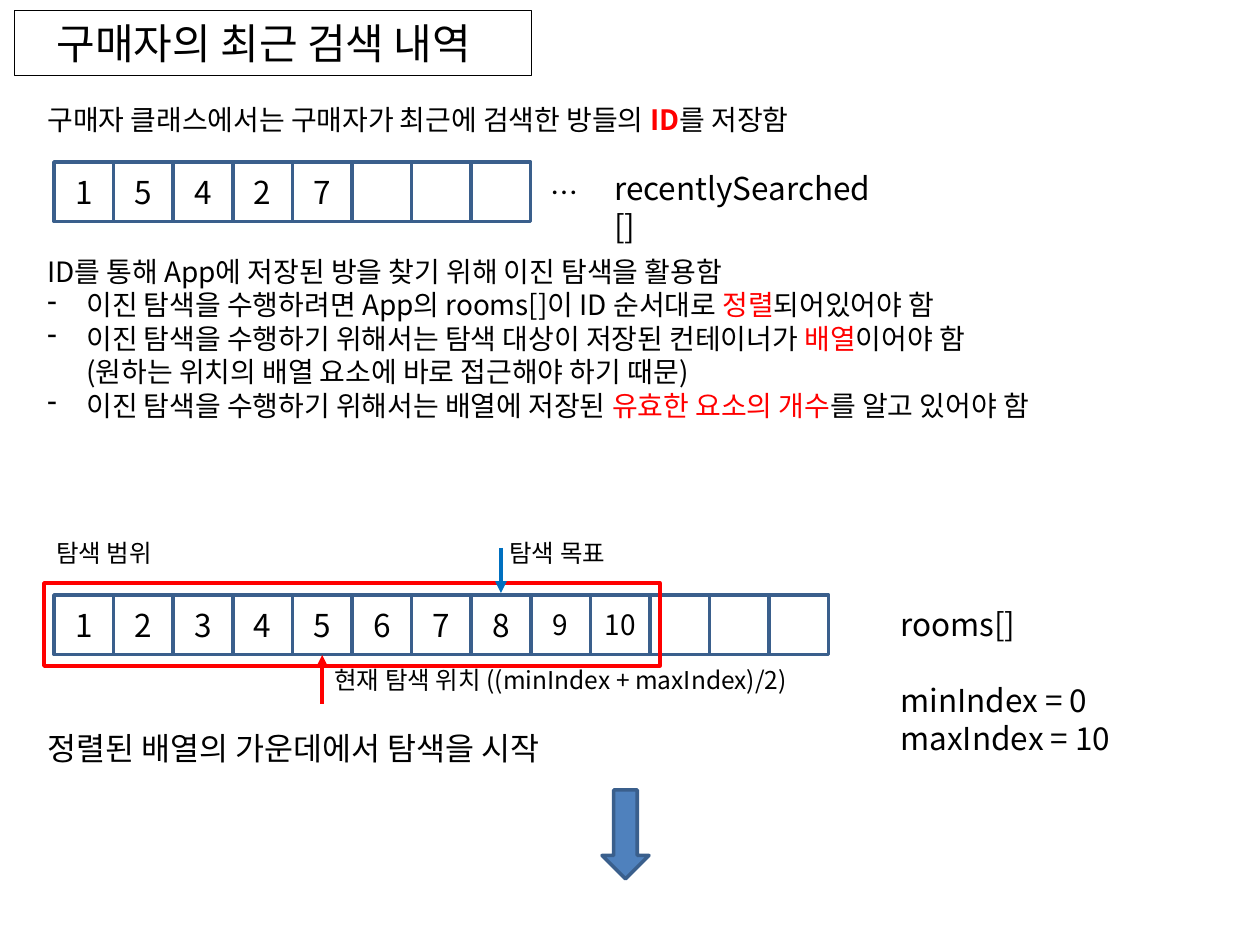
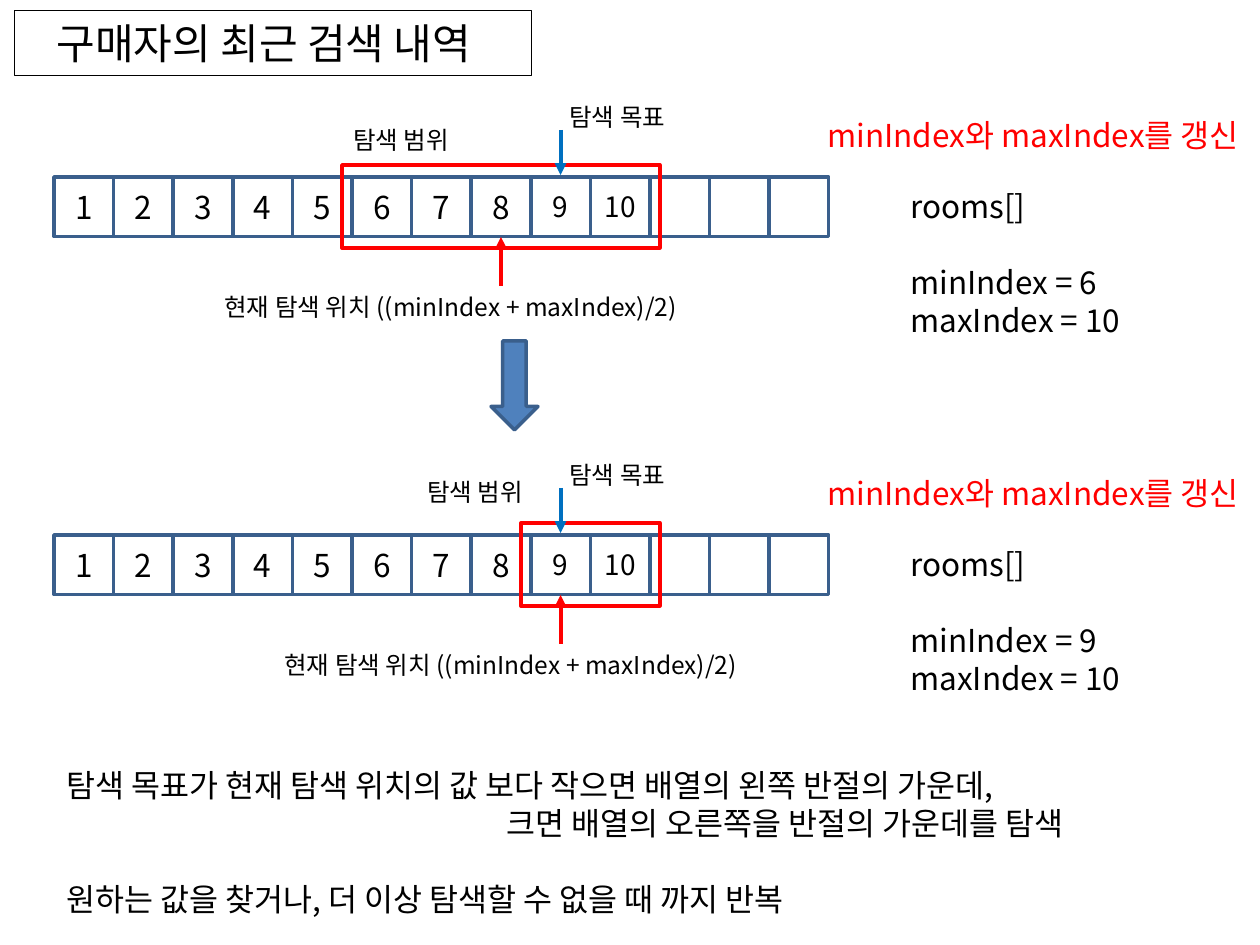
from lxml import etree
from pptx import Presentation
from pptx.dml.color import RGBColor
from pptx.enum.shapes import MSO_CONNECTOR, MSO_SHAPE
from pptx.enum.text import MSO_ANCHOR, PP_ALIGN
from pptx.oxml.ns import qn
from pptx.util import Pt

RECT, DOWN = MSO_SHAPE.RECTANGLE, MSO_SHAPE.DOWN_ARROW
LINE = MSO_CONNECTOR.STRAIGHT
LEFT, MID = PP_ALIGN.LEFT, PP_ALIGN.CENTER
TOP, HALF = MSO_ANCHOR.TOP, MSO_ANCHOR.MIDDLE

BLACK = RGBColor(0x00, 0x00, 0x00)
RED = RGBColor(0xFF, 0x00, 0x00)
BLUE = RGBColor(0x4F, 0x81, 0xBD)
NAVY = RGBColor(0x3A, 0x5F, 0x8C)
AZURE = RGBColor(0x00, 0x70, 0xC0)
FONT = "Noto Sans CJK KR"

SCALE = 914400 / 126
CELL = 59.6
EDGE = 54
GAP = Pt(21.6)


def px(n):
    """Turn pixels into EMU."""
    return round(n * SCALE)


def fill(frame, text, size=18, color=BLACK, align=LEFT, anchor=TOP):
    """Write text into a frame: a string, or a list of paragraphs.

    A paragraph is a string or a list of runs; a run is a string or a
    (string, colour, bold) triple.
    """
    frame.word_wrap = True
    frame.vertical_anchor = anchor
    rows = [text] if isinstance(text, str) else text
    for i, row in enumerate(rows):
        para = frame.paragraphs[0] if i == 0 else frame.add_paragraph()
        para.alignment = align
        for part in [row] if isinstance(row, str) else row:
            words, hue, bold = (part, color, False) if isinstance(part, str) else part
            for j, bit in enumerate(words.split("\n")):
                if j:
                    para.add_line_break()
                run = para.add_run()
                run.text = bit
                font = run.font
                font.name, font.size, font.bold = FONT, Pt(size), bold
                font.color.rgb = hue
                east = etree.SubElement(font._element, qn("a:ea"))
                east.set("typeface", FONT)
    return frame.paragraphs


def label(slide, text, x, y, w, h, **form):
    """Add a text box and return its paragraphs."""
    box = slide.shapes.add_textbox(px(x), px(y), px(w), px(h))
    return fill(box.text_frame, text, **form)


def shape(slide, kind, x, y, w, h, line=NAVY, width=2, paint=None):
    """Add an outlined preset shape, filled if a paint is given."""
    item = slide.shapes.add_shape(kind, px(x), px(y), px(w), px(h))
    item.shadow.inherit = False
    item.line.color.rgb, item.line.width = line, Pt(width)
    if paint is None:
        item.fill.background()
    else:
        item.fill.solid()
        item.fill.fore_color.rgb = paint
    return item


def arrow(slide, x, start, end, color):
    """Add a vertical line with an arrowhead at its end."""
    item = slide.shapes.add_connector(LINE, px(x), px(start), px(x), px(end))
    item.line.color.rgb, item.line.width = color, Pt(2.25)
    tail = etree.SubElement(item.line._get_or_add_ln(), qn("a:tailEnd"))
    tail.set("type", "triangle")
    etree.SubElement(item._element.spPr, qn("a:effectLst"))


def title(slide):
    """Add the framed heading."""
    label(slide, "구매자의 최근 검색 내역", 44, 11, 495, 64, size=24)
    shape(slide, RECT, 14, 10, 517, 65, line=BLACK, width=0.25)


def cells(slide, y, values, count):
    """Draw a row of boxes, the first of which hold values."""
    for i in range(count):
        box = shape(slide, RECT, EDGE + i * CELL, y, CELL, CELL)
        if i < len(values):
            fill(box.text_frame, str(values[i]), size=18 if i < 8 else 16,
                 align=MID, anchor=HALF)


def search(slide, y, low, now, goal, span, aim, spot, note):
    """Draw one step of the search; the last four are label places
    measured from the row's top: range, target, position, indices."""
    cells(slide, y, range(1, 11), 13)
    shape(slide, RECT, EDGE + low * CELL - 10, y - 12,
          (10 - low) * CELL + 20, 83, line=RED)
    arrow(slide, EDGE + (goal + 0.5) * CELL, y - 47, y - 2, AZURE)
    arrow(slide, EDGE + (now + 0.5) * CELL, y + 109, y + 60, RED)
    for text, (x, dy), wide in (
            ("탐색 범위", span, 136), ("탐색 목표", aim, 134),
            ("현재 탐색 위치 ((minIndex + maxIndex)/2)", spot, 498)):
        label(slide, text, x, y + dy, wide, 43, size=14)
    first = low + 1 if low else 0
    rows = label(slide, ["rooms[]", f"minIndex = {first}", "maxIndex = 10"],
                 note, y + 4, 243, 165)
    rows[1].space_before = GAP


def bullets(paras):
    """Give paragraphs a hanging dash."""
    for para in paras:
        prop = para._p.get_or_add_pPr()
        prop.set("marL", str(px(39)))
        prop.set("indent", str(-px(39)))
        etree.SubElement(prop, qn("a:buChar")).set("char", "-")


def intro(slide):
    """Fill the first slide: stored IDs, rules, and the search's start."""
    title(slide)
    label(slide, [["구매자 클래스에서는 구매자가 최근에 검색한 방들의 ",
                   ("ID", RED, True), "를 저장함"]], 35, 96, 1101, 47, size=16)
    cells(slide, 162, (1, 5, 4, 2, 7), 8)
    label(slide, "…", 538, 169, 52, 47, size=16)
    label(slide, "recentlySearched[]", 602, 163, 288, 50)
    rows = label(slide, [
        "ID를 통해 App에 저장된 방을 찾기 위해 이진 탐색을 활용함",
        ["이진 탐색을 수행하려면 App의 rooms[]이 ID 순서대로 ",
         ("정렬", RED, False), "되어있어야 함"],
        ["이진 탐색을 수행하기 위해서는 탐색 대상이 저장된 컨테이너가 ",
         ("배열", RED, False),
         "이어야 함\n(원하는 위치의 배열 요소에 바로 접근해야 하기 때문)"],
        ["이진 탐색을 수행하기 위해서는 배열에 저장된 ",
         ("유효한 요소의 개수", RED, False), "를 알고 있어야 함"],
    ], 35, 248, 1150, 183, size=16)
    bullets(rows[1:])
    search(slide, 595, 0, 4, 7, (44, -63), (497, -63), (322, 64), 888)
    label(slide, "정렬된 배열의 가운데에서 탐색을 시작", 35, 723, 580, 50)
    shape(slide, DOWN, 602, 790, 47, 89, paint=BLUE)


def steps(slide):
    """Fill the second slide: two narrowing steps and the rule."""
    title(slide)
    for y, low, now, span, spot in ((177, 5, 7, (341, -58), 212),
                                    (535, 8, 8, (415, -64), 272)):
        search(slide, y, low, now, 8, span, (557, -81), (spot, 109), 898)
        label(slide, "minIndex와 maxIndex를 갱신", 815, y - 67, 445, 50, color=RED)
    shape(slide, DOWN, 491, 341, 47, 89, paint=BLUE)
    rows = label(slide, [
        "탐색 목표가 현재 탐색 위치의 값 보다 작으면 배열의 왼쪽 반절의 가운데,",
        "크면 배열의 오른쪽을 반절의 가운데를 탐색",
        "원하는 값을 찾거나, 더 이상 탐색할 수 없을 때 까지 반복",
    ], 54, 760, 1200, 165)
    rows[1]._p.get_or_add_pPr().set("marL", str(px(440)))
    rows[2].space_before = GAP


deck = Presentation()
deck.slide_width, deck.slide_height = px(1260), px(945)
for build in (intro, steps):
    build(deck.slides.add_slide(deck.slide_layouts[6]))
deck.save("out.pptx")
